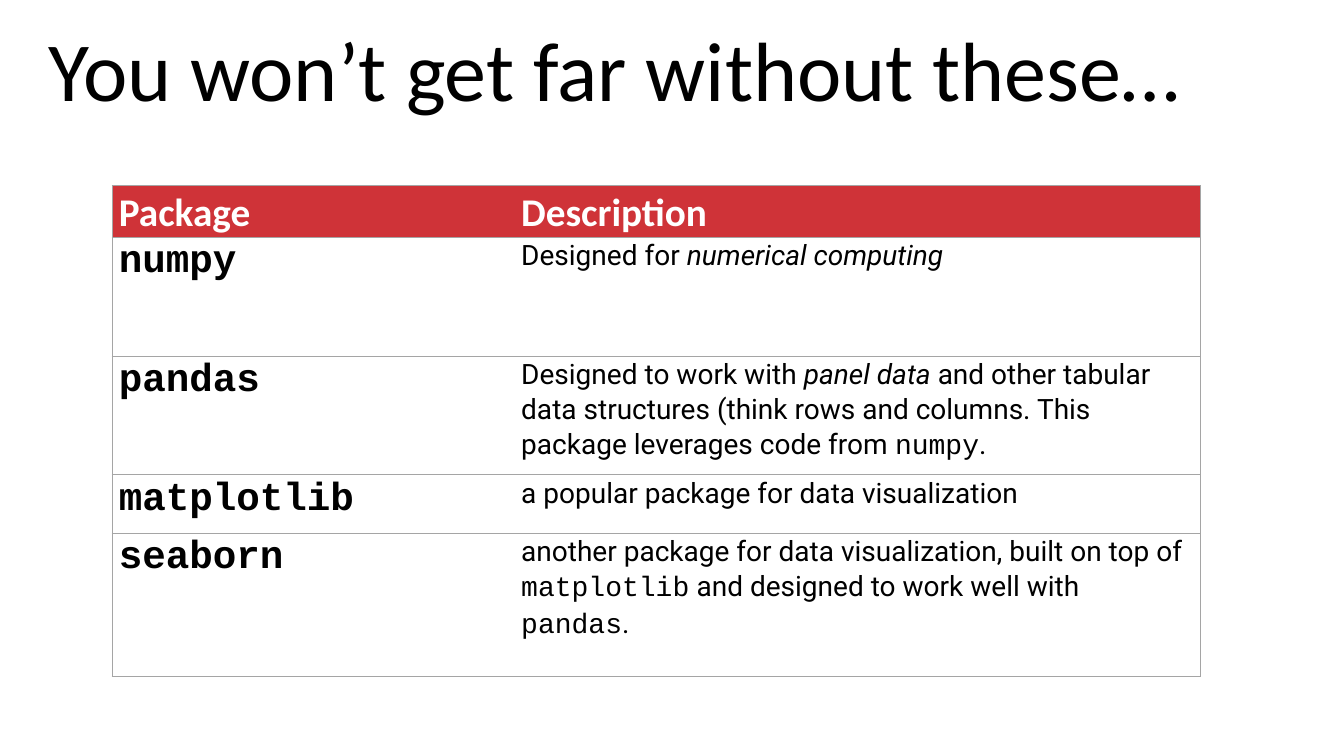
from dataclasses import dataclass

from lxml.etree import SubElement
from pptx import Presentation
from pptx.dml.color import RGBColor
from pptx.enum.text import MSO_ANCHOR, MSO_AUTO_SIZE, PP_ALIGN
from pptx.oxml.ns import qn
from pptx.util import Inches, Pt


@dataclass(frozen=True)
class Theme:
    heading_font: str = "Calibri"
    body_font: str = "Roboto"
    code_font: str = "Courier New"
    title_size: int = 60
    label_size: int = 28
    body_size: int = 20
    text: str = "000000"
    header_text: str = "FFFFFF"
    header_fill: str = "CF3338"
    rule: str = "A5A5A5"
    rule_width: float = 0.5
    line_spacing: float = 1.07


THEME = Theme()

COLUMN_WIDTHS = [3.99, 6.81]
ROW_HEIGHTS = [0.51, 1.18, 1.18, 0.58, 1.42]

# Each description is a list of (text, style) pieces
PACKAGES = [
    ("numpy", [("Designed for ", ""), ("numerical computing", "italic")]),
    ("pandas", [
        ("Designed to work with ", ""),
        ("panel data ", "italic"),
        ("and other tabular data structures (think rows and columns. "
         "This package leverages code from ", ""),
        ("numpy", "code"),
        (".", ""),
    ]),
    ("matplotlib", [("a popular package for data visualization", "")]),
    ("seaborn", [
        ("another package for data visualization, built on top of ", ""),
        ("matplotlib", "code"),
        (" and designed to work well with ", ""),
        ("pandas", "code"),
        (".", ""),
    ]),
]


def add_text(p, text, font=THEME.body_font, size=THEME.body_size,
             color=THEME.text, bold=False, italic=False):
    r = p.add_run()
    r.text = text
    r.font.name = font
    r.font.size = Pt(size)
    r.font.color.rgb = RGBColor.from_string(color)
    r.font.bold = bold
    r.font.italic = italic


def set_borders(cell, visible):
    """Draw the sides named in visible (L, R, T, B) and clear the others."""
    tc_pr = cell._tc.get_or_add_tcPr()
    for side in "LRTB":
        ln = SubElement(tc_pr, qn(f"a:ln{side}"), w=str(Pt(THEME.rule_width)))
        if side in visible:
            fill = SubElement(ln, qn("a:solidFill"))
            SubElement(fill, qn("a:srgbClr"), val=THEME.rule)
        else:
            SubElement(ln, qn("a:noFill"))


def format_cell(cell, borders, fill=None):
    """Set up an empty cell and return its paragraph."""
    set_borders(cell, borders)
    if fill:
        cell.fill.solid()
        cell.fill.fore_color.rgb = RGBColor.from_string(fill)
    else:
        cell.fill.background()
    cell.margin_left = cell.margin_right = Inches(0.07)
    cell.margin_top = cell.margin_bottom = 0
    cell.vertical_anchor = MSO_ANCHOR.TOP
    p = cell.text_frame.paragraphs[0]
    p.line_spacing = THEME.line_spacing
    return p


def add_title(s, text, left, top, width, height):
    sp = s.shapes.title
    sp.left, sp.top = Inches(left), Inches(top)
    sp.width, sp.height = Inches(width), Inches(height)
    tf = sp.text_frame
    tf.word_wrap = True
    tf.auto_size = MSO_AUTO_SIZE.NONE
    tf.vertical_anchor = MSO_ANCHOR.TOP
    p = tf.paragraphs[0]
    p.alignment = PP_ALIGN.LEFT
    add_text(p, text, font=THEME.heading_font, size=THEME.title_size)


def add_package_table(s, left, top):
    table = s.shapes.add_table(
        len(ROW_HEIGHTS), len(COLUMN_WIDTHS), Inches(left), Inches(top),
        Inches(sum(COLUMN_WIDTHS)), Inches(sum(ROW_HEIGHTS))).table
    table.horz_banding = False
    for column, width in zip(table.columns, COLUMN_WIDTHS):
        column.width = Inches(width)
    for row, height in zip(table.rows, ROW_HEIGHTS):
        row.height = Inches(height)

    # Header row
    for col, (label, side) in enumerate([("Package", "L"), ("Description", "R")]):
        p = format_cell(table.cell(0, col), side + "TB", THEME.header_fill)
        add_text(p, label, font=THEME.heading_font, size=THEME.label_size,
                 color=THEME.header_text, bold=True)

    # Package rows
    for row, (name, description) in enumerate(PACKAGES, start=1):
        p = format_cell(table.cell(row, 0), "LTB")
        add_text(p, name, font=THEME.code_font, size=THEME.label_size, bold=True)
        p = format_cell(table.cell(row, 1), "RTB")
        for text, style in description:
            font = THEME.code_font if style == "code" else THEME.body_font
            add_text(p, text, font=font, italic=style == "italic")


def main():
    prs = Presentation()
    prs.slide_width, prs.slide_height = Inches(13.33), Inches(7.5)
    s = prs.slides.add_slide(prs.slide_layouts[5])
    add_title(s, "You won’t get far without these…", 0.38, 0.12, 12.09, 1.11)
    add_package_table(s, 1.11, 1.84)
    prs.save("out.pptx")


if __name__ == "__main__":
    main()
